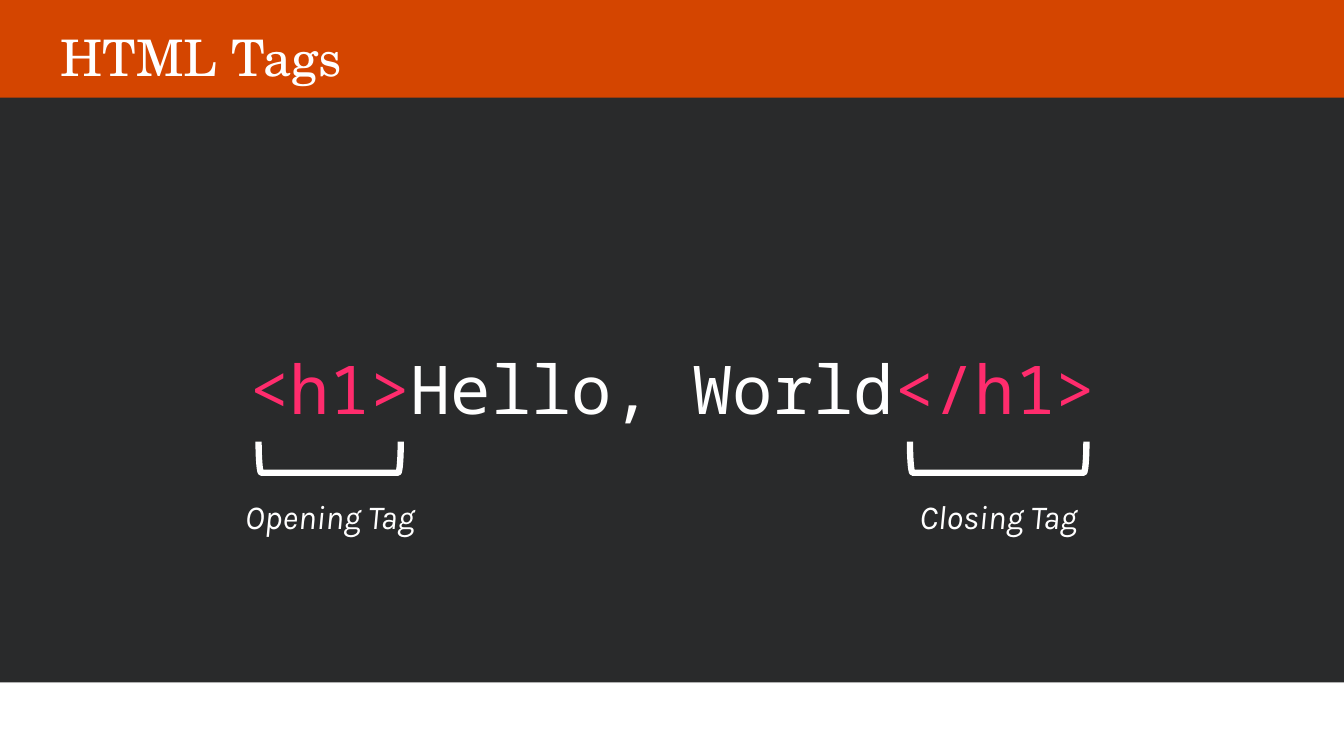
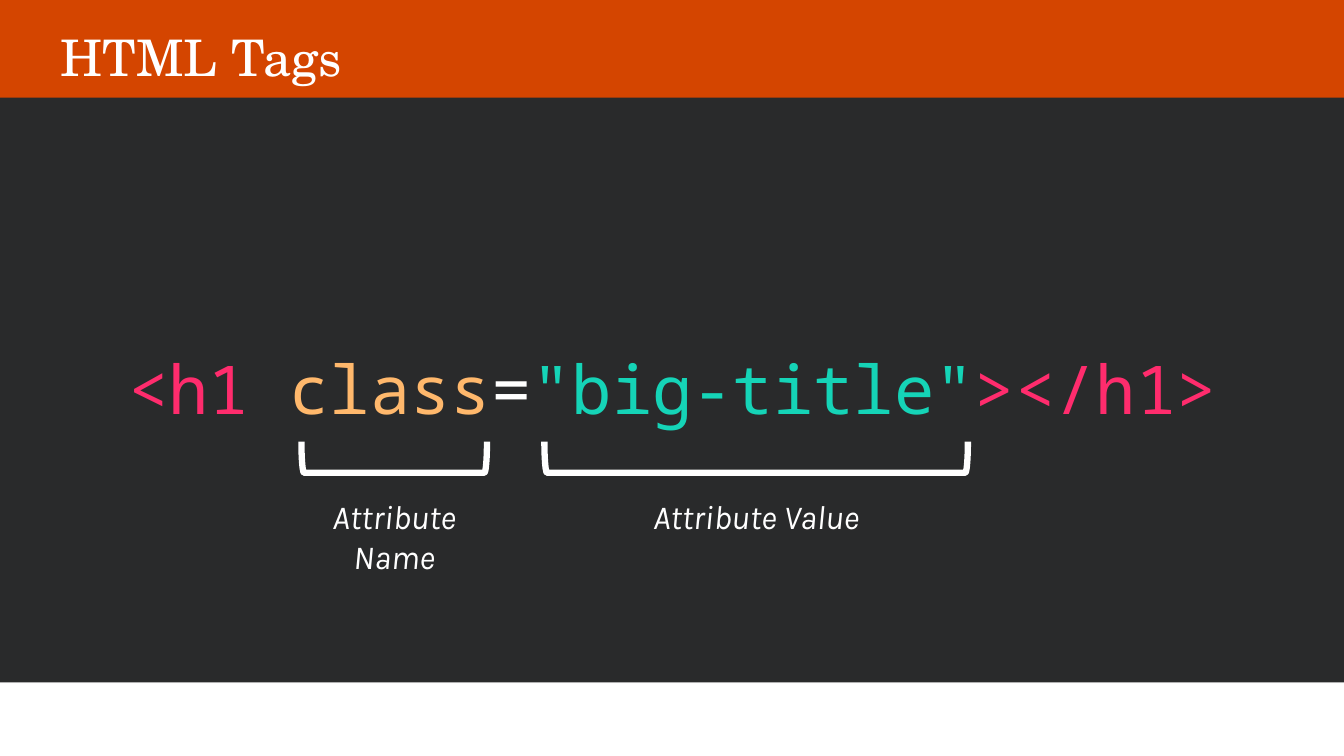
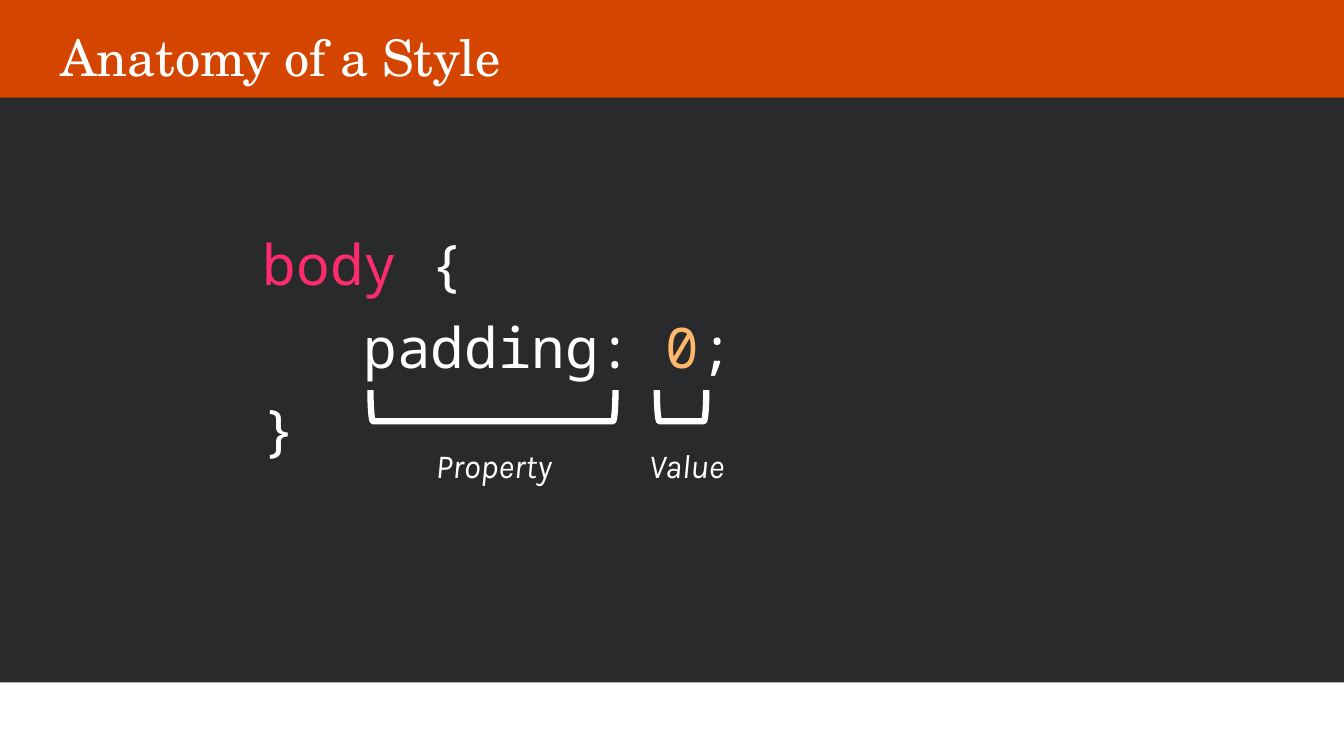
import pptx
import pptx.dml.color
import pptx.enum.shapes
import pptx.enum.text
import pptx.util

Inches, Pt = pptx.util.Inches, pptx.util.Pt
RGBColor = pptx.dml.color.RGBColor
MSO_SHAPE = pptx.enum.shapes.MSO_SHAPE
PP_ALIGN = pptx.enum.text.PP_ALIGN
MSO_ANCHOR = pptx.enum.text.MSO_ANCHOR
MSO_AUTO_SIZE = pptx.enum.text.MSO_AUTO_SIZE

WHITE = RGBColor(0xFF, 0xFF, 0xFF)
PAPER = RGBColor(0xFA, 0xFA, 0xFA)
ORANGE = RGBColor(0xD4, 0x45, 0x00)
CHARCOAL = RGBColor(0x29, 0x2A, 0x2B)
PINK = RGBColor(0xFF, 0x2C, 0x6D)
AMBER = RGBColor(0xFF, 0xB8, 0x6C)
TEAL = RGBColor(0x15, 0xD4, 0xB7)

TITLE_FONT, CODE_FONT, LABEL_FONT = "TeX Gyre Schola", "Noto Sans Mono", "Karla"
SLIDE_W, SLIDE_H = 13.33, 7.5
BRACKET_DEPTH = 0.31
LABEL_DROP = 0.49  # from the top of a bracket to its label


def add_block(slide, box, color):
    block = slide.shapes.add_shape(MSO_SHAPE.RECTANGLE, *map(Inches, box))
    block.shadow.inherit = False
    block.fill.solid()
    block.fill.fore_color.rgb = color
    block.line.fill.background()
    return block


def add_run(paragraph, text, font, size, color, italic=False):
    run = paragraph.add_run()
    run.text = text
    run.font.name = font
    run.font.size = Pt(size)
    run.font.color.rgb = color
    run.font.italic = italic


def move_bands_to_layout(slide):
    """Draw the paper, the title band and the footer band once, on the layout."""
    layout = slide.slide_layout
    for placeholder in list(layout.placeholders):
        if placeholder.placeholder_format.idx != 0:
            layout.shapes.element.remove(placeholder.element)
    bands = [
        add_block(slide, (0, 0, SLIDE_W, SLIDE_H), PAPER),
        add_block(slide, (0, 0, SLIDE_W, 1), ORANGE),
        add_block(slide, (0, 6.78, SLIDE_W, 0.72), WHITE),
    ]
    for position, band in enumerate(bands, start=2):
        layout.shapes.element.insert(position, band.element)


def add_title(slide, text, box):
    title = slide.shapes.title
    title.left, title.top, title.width, title.height = map(Inches, box)
    frame = title.text_frame
    frame.auto_size = MSO_AUTO_SIZE.NONE
    frame.vertical_anchor = MSO_ANCHOR.TOP
    heading = frame.paragraphs[0]
    heading.alignment = PP_ALIGN.LEFT
    heading.line_spacing = 0.9
    add_run(heading, text, TITLE_FONT, 36, WHITE)


def add_code(slide, box, lines, size, align, anchor):
    """Each line is its indent in inches and a list of (text, colour)."""
    frame = slide.shapes.add_textbox(*map(Inches, box)).text_frame
    frame.word_wrap = True
    frame.vertical_anchor = anchor
    for number, (indent, pieces) in enumerate(lines):
        line = frame.add_paragraph() if number else frame.paragraphs[0]
        line.alignment = align
        line.line_spacing = 0.9
        line.space_before, line.space_after = Pt(10), Pt(6)
        if indent:
            line._p.get_or_add_pPr().set("marL", str(Inches(indent)))
        for text, color in pieces:
            add_run(line, text, CODE_FONT, size, color)


def add_callout(slide, top, center, width, text, label_box):
    """Bracket opening upwards, with a label; label_box is left, width, height."""
    # The bracket is drawn upright, then turned about its centre
    bracket = slide.shapes.add_shape(
        MSO_SHAPE.LEFT_BRACKET,
        Inches(center - BRACKET_DEPTH / 2),
        Inches(top + BRACKET_DEPTH / 2 - width / 2),
        Inches(BRACKET_DEPTH), Inches(width))
    bracket.rotation = 270
    bracket.shadow.inherit = False
    bracket.fill.background()
    bracket.line.color.rgb = WHITE
    bracket.line.width = Pt(4.5)

    left, label_width, height = label_box
    frame = slide.shapes.add_textbox(
        Inches(left), Inches(top + LABEL_DROP),
        Inches(label_width), Inches(height)).text_frame
    frame.word_wrap = True
    frame.auto_size = MSO_AUTO_SIZE.SHAPE_TO_FIT_TEXT
    label = frame.paragraphs[0]
    label.alignment = PP_ALIGN.CENTER
    add_run(label, text, LABEL_FONT, 24, WHITE, italic=True)


def add_code_slide(slide, title, code, callout_top, callouts):
    add_title(slide, title, (0.5, 0.28, 12.33, 0.69))
    add_block(slide, (0, 0.97, SLIDE_W, 5.8), CHARCOAL)
    add_code(slide, **code)
    for callout in callouts:
        add_callout(slide, callout_top, *callout)


def one_liner(pieces):
    return dict(box=(0.51, 1.21, 12.32, 5.38), lines=[(0, pieces)], size=48,
                align=PP_ALIGN.CENTER, anchor=MSO_ANCHOR.MIDDLE)


def listing(lines):
    return dict(box=(2.51, 2.3, 10.32, 4.3), lines=lines, size=40,
                align=PP_ALIGN.LEFT, anchor=MSO_ANCHOR.TOP)


# Title, code, top of the brackets, then centre, width, label and label box
SLIDES = [
    ("HTML Tags",
     one_liner([("<h1>", PINK), ("Hello, World", WHITE), ("</h1>", PINK)]),
     4.38,
     [(3.27, 1.41, "Opening Tag", (2.22, 2.1, 0.5)),
      (9.9, 1.75, "Closing Tag", (8.85, 2.1, 0.5))]),
    ("HTML Tags",
     one_liner([("<h1 ", PINK), ("class", AMBER), ("=", WHITE),
                ('"big-title"', TEAL), ("></h1>", PINK)]),
     4.38,
     [(3.91, 1.84, "Attribute Name", (2.99, 1.84, 0.91)),
      (7.5, 4.2, "Attribute Value", (5.4, 4.2, 0.5))]),
    ("Anatomy of a Style",
     listing([(0, [("body ", PINK), ("{", WHITE)]),
              (1, [("padding: ", WHITE), ("0", AMBER), (";", WHITE)]),
              (0, [("}", WHITE)])]),
     3.87,
     [(4.89, 2.43, "Property", (3.68, 2.43, 0.5)),
      (6.76, 0.49, "Value", (5.67, 2.28, 0.5))]),
]


def main():
    deck = pptx.Presentation()
    deck.slide_width, deck.slide_height = Inches(SLIDE_W), Inches(SLIDE_H)
    title_only = deck.slide_layouts[5]
    for number, content in enumerate(SLIDES):
        slide = deck.slides.add_slide(title_only)
        if number == 0:
            move_bands_to_layout(slide)
        add_code_slide(slide, *content)
    deck.save("out.pptx")


if __name__ == "__main__":
    main()
